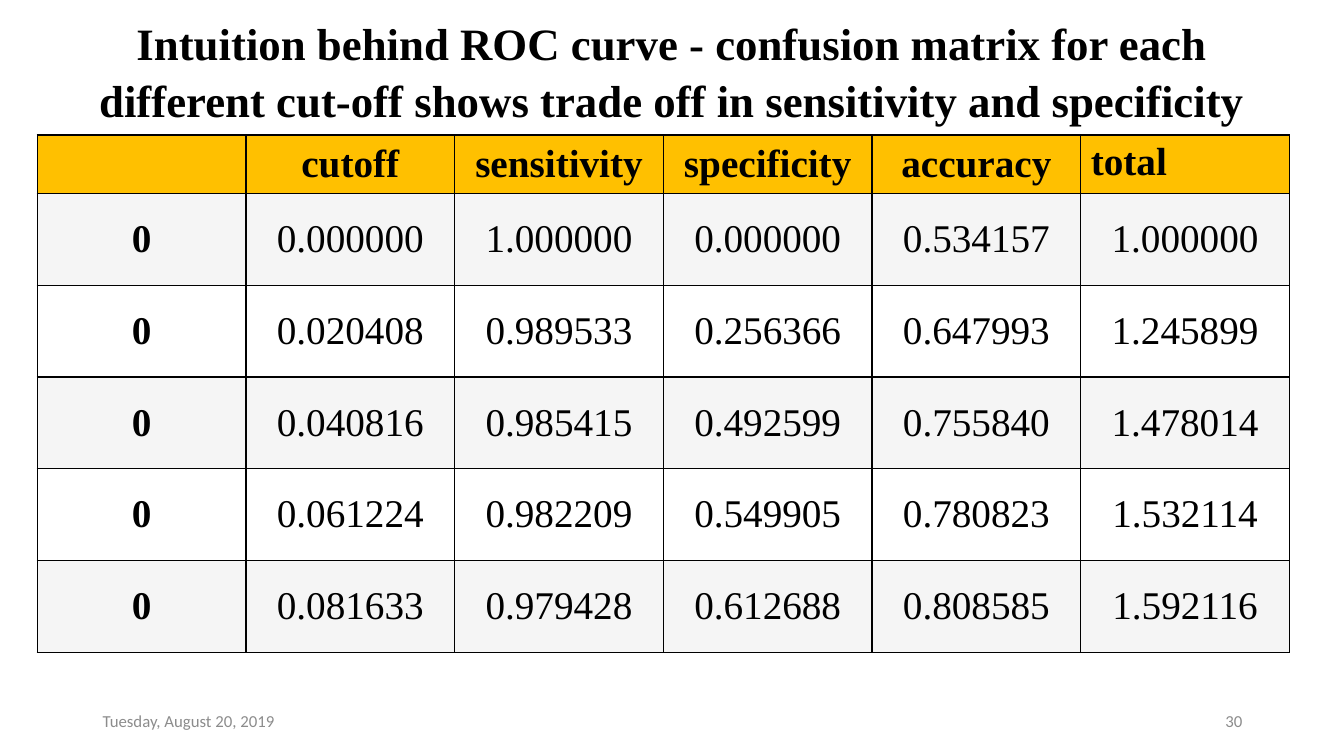
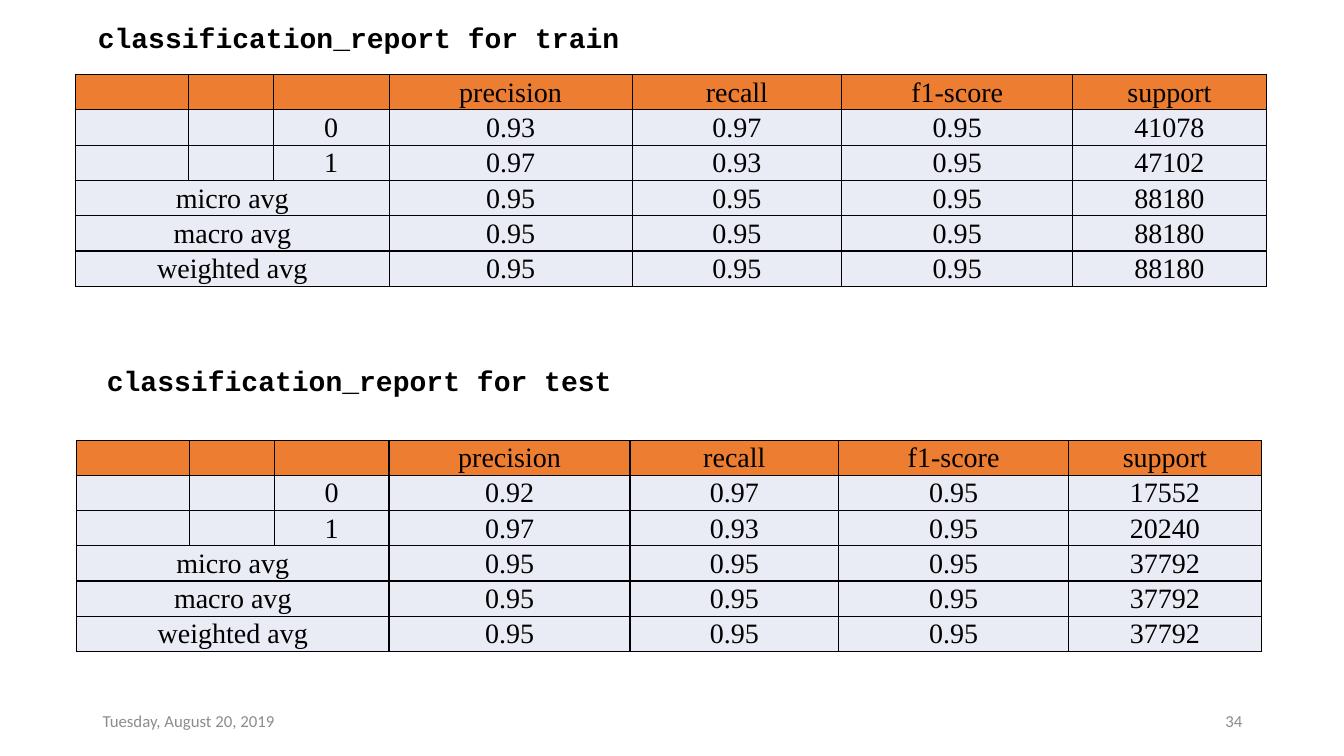
from lxml import etree
from pptx import Presentation
from pptx.dml.color import RGBColor
from pptx.enum.shapes import MSO_SHAPE
from pptx.enum.text import MSO_ANCHOR, PP_ALIGN
from pptx.oxml.ns import qn
from pptx.util import Pt

PX = 9144  # one px is a hundredth of an inch
LEFT, CENTER, RIGHT = PP_ALIGN.LEFT, PP_ALIGN.CENTER, PP_ALIGN.RIGHT
TOP, MIDDLE = MSO_ANCHOR.TOP, MSO_ANCHOR.MIDDLE
RECTANGLE = MSO_SHAPE.RECTANGLE
SERIF, SANS, MONO = "Times New Roman", "Calibri", "Courier New"
COLORS = {
    "text": "000000",
    "footer": "8C8C8C",
    "paper": "FFFFFF",
    "gold": "FFC000",
    "stripe": "F5F5F5",
    "orange": "ED7D31",
    "lavender": "E9EBF5",
}


def write(frame, text, font=SERIF, size=20, color="text", bold=False,
          align=LEFT, anchor=TOP, spacing=None):
    frame.word_wrap = True
    frame.vertical_anchor = anchor
    para = frame.paragraphs[0]
    para.alignment = align
    para.line_spacing = spacing
    if text:
        span = para.add_run()
        span.text = text
        span.font.name = font
        span.font.size = Pt(size)
        span.font.bold = bold
        span.font.color.rgb = RGBColor.from_string(COLORS[color])


def add_grid(page, left, top, widths, heights, fills):
    """Add an empty table with black cell borders and one fill per row."""
    frame = page.shapes.add_table(
        len(heights), len(widths), left * PX, top * PX,
        sum(widths) * PX, sum(heights) * PX)
    grid = frame.table
    grid.first_row = grid.horz_banding = False
    for column, width in zip(grid.columns, widths):
        column.width = width * PX
    for row, height, fill in zip(grid.rows, heights, fills):
        row.height = height * PX
        for cell in row.cells:
            cell.vertical_anchor = MIDDLE
            properties = cell._tc.get_or_add_tcPr()
            for side in ("a:lnL", "a:lnR", "a:lnT", "a:lnB"):
                line = etree.SubElement(properties, qn(side), w=str(Pt(1)))
                solid = etree.SubElement(line, qn("a:solidFill"))
                etree.SubElement(solid, qn("a:srgbClr"), val=COLORS["text"])
            cell.fill.solid()
            cell.fill.fore_color.rgb = RGBColor.from_string(COLORS[fill])
    return grid


deck = Presentation()
deck.slide_width = 1333 * PX
deck.slide_height = 750 * PX
blank = deck.slide_layouts[6]

# Cut-off table
cutoff_page = deck.slides.add_slide(blank)
title = cutoff_page.shapes.add_textbox(55 * PX, 7 * PX, 1223 * PX, 118 * PX)
write(title.text_frame,
      "Intuition behind ROC curve - confusion matrix for each different "
      "cut-off shows trade off in sensitivity and specificity",
      size=32, bold=True, align=CENTER, spacing=1.06)

cutoff_rows = [
    ["", "cutoff", "sensitivity", "specificity", "accuracy", "total"],
    ["0", "0.000000", "1.000000", "0.000000", "0.534157", "1.000000"],
    ["0", "0.020408", "0.989533", "0.256366", "0.647993", "1.245899"],
    ["0", "0.040816", "0.985415", "0.492599", "0.755840", "1.478014"],
    ["0", "0.061224", "0.982209", "0.549905", "0.780823", "1.532114"],
    ["0", "0.081633", "0.979428", "0.612688", "0.808585", "1.592116"],
]
grid = add_grid(cutoff_page, 37, 134, [207] * 6, [58] + [91] * 5,
                ["gold"] + ["stripe", "paper"] * 2 + ["stripe"])
for row, texts in enumerate(cutoff_rows):
    for column, text in enumerate(texts):
        write(grid.cell(row, column).text_frame, text, size=28,
              bold=row == 0 or column == 0,
              align=LEFT if text == "total" else CENTER)
grid.cell(0, 5).vertical_anchor = TOP

# Classification reports
report_page = deck.slides.add_slide(blank)
report_header = ["", "", "", "precision", "recall", "f1-score", "support"]
averages = ["micro avg", "macro avg", "weighted avg"]
reports = [
    {"heading": "classification_report for train",
     "box": (34, 15, 1246, 88), "indent": 63, "left": 75, "top": 74,
     "widths": [112, 84, 115, 241, 208, 229, 192],
     "heights": [35] * 6,
     "classes": [["0", "0.93", "0.97", "0.95", "41078"],
                 ["1", "0.97", "0.93", "0.95", "47102"]],
     "support": "88180"},
    {"heading": "classification_report for test",
     "box": (56, 356, 1201, 81), "indent": 50, "left": 76, "top": 437,
     "widths": [112, 84, 114, 239, 207, 228, 191],
     "heights": [34] + [35] * 5,
     "classes": [["0", "0.92", "0.97", "0.95", "17552"],
                 ["1", "0.97", "0.93", "0.95", "20240"]],
     "support": "37792"},
]
for report in reports:
    box = report_page.shapes.add_shape(
        RECTANGLE, *(length * PX for length in report["box"]))
    box.shadow.inherit = False
    box.fill.solid()
    box.fill.fore_color.rgb = RGBColor.from_string(COLORS["paper"])
    box.line.fill.background()
    frame = box.text_frame
    frame.margin_left = report["indent"] * PX
    frame.margin_top = 5 * PX
    frame.margin_right = frame.margin_bottom = 0
    write(frame, report["heading"], font=MONO, bold=True)

    rows = [report_header]
    rows += [["", ""] + values for values in report["classes"]]
    rows += [[label, "", ""] + ["0.95"] * 3 + [report["support"]]
             for label in averages]
    grid = add_grid(report_page, report["left"], report["top"],
                    report["widths"], report["heights"],
                    ["orange"] + ["lavender"] * 5)
    for row, texts in enumerate(rows):
        for column, text in enumerate(texts):
            cell = grid.cell(row, column)
            cell.margin_left = cell.margin_right = cell.margin_top = PX
            cell.margin_bottom = 0
            write(cell.text_frame, text, align=CENTER)
        if texts[0]:
            grid.cell(row, 0).merge(grid.cell(row, 2))

# Footers
for page, number in ((cutoff_page, "30"), (report_page, "34")):
    for left, text, align in ((92, "Tuesday, August 20, 2019", LEFT),
                              (942, number, RIGHT)):
        box = page.shapes.add_textbox(left * PX, 695 * PX, 300 * PX, 40 * PX)
        write(box.text_frame, text, font=SANS, size=12, color="footer",
              align=align, anchor=MIDDLE)

deck.save("out.pptx")
